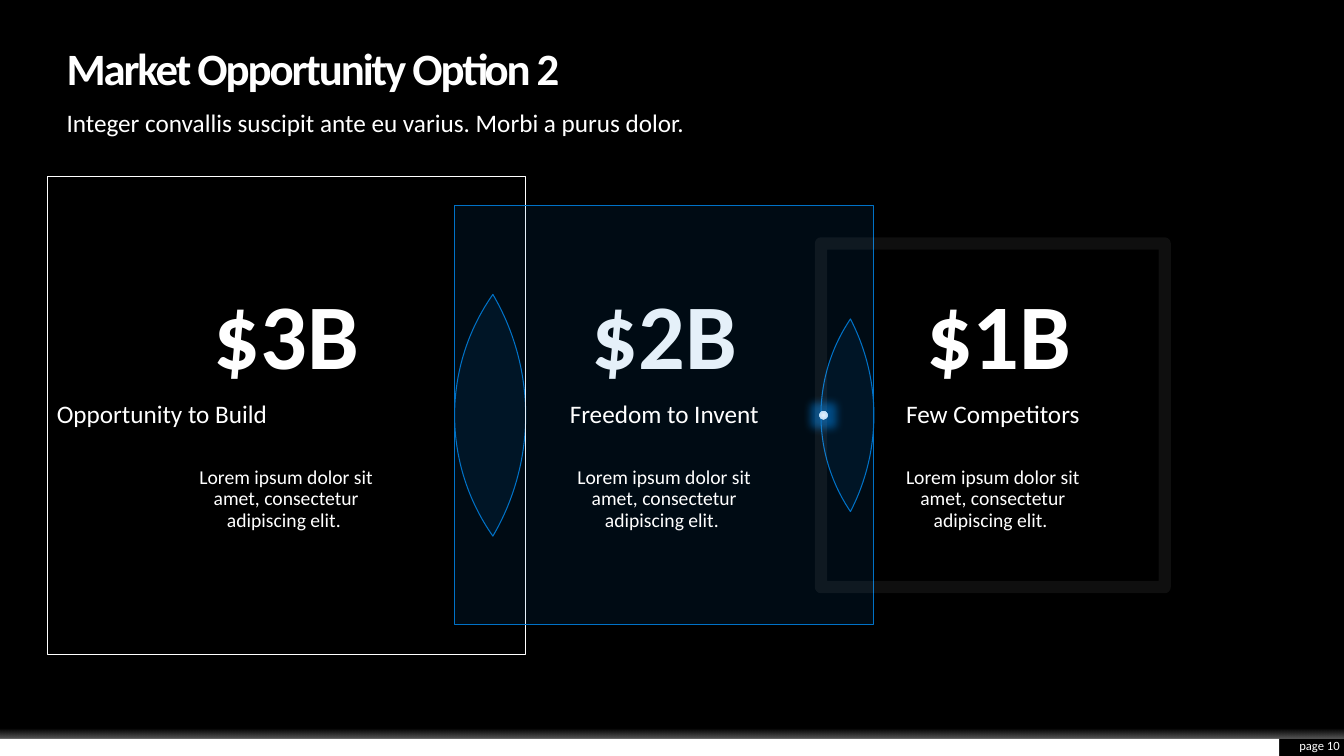
import math

from lxml import etree
from pptx import Presentation
from pptx.dml.color import RGBColor
from pptx.enum.shapes import MSO_SHAPE
from pptx.enum.text import MSO_ANCHOR, PP_ALIGN
from pptx.oxml.ns import nsdecls, qn
from pptx.util import Inches, Pt

LEFT, CENTER, RIGHT = PP_ALIGN.LEFT, PP_ALIGN.CENTER, PP_ALIGN.RIGHT
TOP, MIDDLE, BOTTOM = MSO_ANCHOR.TOP, MSO_ANCHOR.MIDDLE, MSO_ANCHOR.BOTTOM
RECT, OVAL = MSO_SHAPE.RECTANGLE, MSO_SHAPE.OVAL

TITLE = "Market Opportunity Option 2"
SUBTITLE = "Integer convallis suscipit ante eu varius. Morbi a purus dolor."
PAGE = "page 10"
BODY = "Lorem ipsum dolor sit amet, consectetur adipiscing elit. "

THEME = {
    "font": "Calibri",
    "black": "000000", "white": "FFFFFF", "blue": "0072C7", "pale": "C1E4FF",
    "title": 32, "number": 66, "caption": 18, "body": 14, "page": 9,
}
WHITE, BLUE = THEME["white"], THEME["blue"]

# Lengths are inches, line widths points. Squares share one horizontal axis.
SLIDE_H = 7.5
SLIDE_W = SLIDE_H * 16 / 9
AXIS = 4.12
PANELS = [
    {"number": "$3B", "caption": "Opportunity to Build", "cx": 2.84, "size": 4.75,
     "number_cx": 2.84, "number_w": 3.07, "align": LEFT, "inset": (0.1, 0.05),
     "line": (WHITE, 0.25, 100), "fill": None},
    {"number": "$2B", "caption": "Freedom to Invent", "cx": 6.59, "size": 4.16,
     "number_cx": 6.59, "number_w": 3.07, "align": CENTER, "inset": (0, 0),
     "line": (BLUE, 0, 100), "fill": (BLUE, 10)},
    {"number": "$1B", "caption": "Few Competitors", "cx": 9.85, "size": 3.41,
     "number_cx": 9.91, "number_w": 2.84, "align": CENTER, "inset": (0.1, 0.05),
     "line": (WHITE, 8.75, 6), "fill": None},
]


def color_xml(color, alpha=100):
    return f'<a:srgbClr val="{color}"><a:alpha val="{alpha * 1000}"/></a:srgbClr>'


def paint(fill, color):
    fill.solid()
    fill.fore_color.rgb = RGBColor.from_string(color)


def set_alpha(parent, alpha):
    if alpha < 100:
        clr = parent.find(qn("a:solidFill")).find(qn("a:srgbClr"))
        etree.SubElement(clr, qn("a:alpha")).set("val", str(alpha * 1000))


def style(sp, fill=None, line=None):
    """Apply (colour, alpha) fill and (colour, points, alpha) line."""
    sp.shadow.inherit = False
    sp_pr = sp._element.spPr
    if fill:
        paint(sp.fill, fill[0])
        set_alpha(sp_pr, fill[1])
    else:
        sp.fill.background()
    if line:
        color, width, alpha = line
        paint(sp.line.fill, color)
        sp.line.width = Pt(width)
        set_alpha(sp_pr.find(qn("a:ln")), alpha)
    else:
        sp.line.fill.background()


def gradient(sp, stops, direction):
    """Replace an empty fill with a gradient of (position, colour, alpha) stops."""
    gs = "".join(f'<a:gs pos="{pos * 1000}">{color_xml(color, alpha)}</a:gs>'
                 for pos, color, alpha in stops)
    xml = f'<a:gradFill {nsdecls("a")}><a:gsLst>{gs}</a:gsLst>{direction}</a:gradFill>'
    sp_pr = sp._element.spPr
    sp_pr.replace(sp_pr.find(qn("a:noFill")), etree.fromstring(xml))


def glow(sp, radius, color, alpha):
    xml = (f'<a:glow {nsdecls("a")} rad="{Inches(radius)}">'
           f'{color_xml(color, alpha)}</a:glow>')
    sp._element.spPr.find(qn("a:effectLst")).append(etree.fromstring(xml))


def add_shape(slide, kind, box, fill=None, line=None):
    sp = slide.shapes.add_shape(kind, *map(Inches, box))
    style(sp, fill, line)
    return sp


def write(sp, text, size, align=LEFT, anchor=TOP, inset=(0, 0), bold=False,
          spacing=0.9, before=0):
    tf = sp.text_frame
    x, y = map(Inches, inset)
    frame = {"word_wrap": True, "vertical_anchor": anchor, "margin_left": x,
             "margin_right": x, "margin_top": y, "margin_bottom": y}
    p = tf.paragraphs[0]
    r = p.add_run()
    r.text = text
    formats = [
        (tf, frame),
        (p, {"alignment": align, "line_spacing": spacing, "space_before": Pt(before)}),
        (r.font, {"name": THEME["font"], "size": Pt(THEME[size]), "bold": bold}),
    ]
    for target, values in formats:
        for name, value in values.items():
            setattr(target, name, value)
    r.font.color.rgb = RGBColor.from_string(WHITE)
    return r


def add_text(slide, box, text, size, **options):
    return write(slide.shapes.add_textbox(*map(Inches, box)), text, size, **options)


def arc(cx, radius, start, end):
    """Return the two control points and the end point of a Bezier arc."""
    k = 4 / 3 * math.tan((end - start) / 4)
    (c1, s1), (c2, s2) = ((math.cos(a), math.sin(a)) for a in (start, end))
    unit = [(c1 - k * s1, s1 + k * c1), (c2 + k * s2, s2 - k * c2), (c2, s2)]
    return [(Inches(cx + radius * x), Inches(AXIS + radius * y)) for x, y in unit]


def add_lens(slide, left, right):
    """Draw the overlap of the circles inscribed in two neighbouring squares."""
    r1, r2 = left["size"] / 2, right["size"] / 2
    gap = right["cx"] - left["cx"]
    chord_x = (gap ** 2 + r1 ** 2 - r2 ** 2) / (2 * gap)
    half = math.sqrt(r1 ** 2 - chord_x ** 2)
    arcs = []
    for cx, radius, middle in ((left["cx"], r1, 0), (right["cx"], r2, math.pi)):
        reach = math.asin(half / radius)
        arcs.append(arc(cx, radius, middle - reach, middle))
        arcs.append(arc(cx, radius, middle, middle + reach))
    ends = [points[-1] for points in arcs]
    builder = slide.shapes.build_freeform(*ends[-1])
    builder.add_line_segments(ends, close=True)
    sp = builder.convert_to_shape()
    for segment, points in zip(list(sp._element.iter(qn("a:lnTo"))), arcs):
        segment.tag = qn("a:cubicBezTo")
        segment.remove(segment[0])
        for x, y in points:
            pt = etree.SubElement(segment, qn("a:pt"))
            pt.set("x", str(x - sp.left))
            pt.set("y", str(y - sp.top))
    style(sp, (BLUE, 10), (BLUE, 0, 100))


def add_panel(slide, panel):
    cx, size = panel["cx"], panel["size"]
    number_w, body_w = panel["number_w"], 2.16
    add_text(slide, (panel["number_cx"] - number_w / 2, 2.29, number_w, 1.57),
             panel["number"], "number", align=CENTER, anchor=BOTTOM, bold=True)
    square = add_shape(slide, RECT, (cx - size / 2, AXIS - size / 2, size, size),
                       panel["fill"], panel["line"])
    write(square, panel["caption"], "caption", align=panel["align"], anchor=MIDDLE,
          inset=panel["inset"], before=10)
    add_text(slide, (cx - body_w / 2, 4.64, body_w, 0.79), BODY, "body",
             align=CENTER, before=10)


def main():
    prs = Presentation()
    prs.slide_width, prs.slide_height = Inches(SLIDE_W), Inches(SLIDE_H)
    slide = prs.slides.add_slide(prs.slide_layouts[6])
    paint(slide.background.fill, THEME["black"])

    add_shape(slide, RECT, (0, 7.33, 12.69, 0.17), (WHITE, 100))
    haze = add_shape(slide, RECT, (0, 7.16, SLIDE_W, 0.17))
    gradient(haze, [(40, WHITE, 0), (100, WHITE, 35)], '<a:lin ang="5400000" scaled="0"/>')

    for left, right in zip(PANELS, PANELS[1:]):
        add_lens(slide, left, right)
    dot = add_shape(slide, OVAL, (8.13, 4.08, 0.08, 0.08))
    gradient(dot, [(0, WHITE, 100), (100, THEME["pale"], 100)],
             '<a:path path="circle"><a:fillToRect l="50000" t="50000" '
             'r="50000" b="50000"/></a:path>')
    glow(dot, 0.17, BLUE, 60)

    title = add_text(slide, (0.66, 0.47, 10.91, 0.47), TITLE, "title",
                     anchor=MIDDLE, bold=True)
    title.font._element.set("spc", "-150")
    add_text(slide, (0.66, 1.1, 10.91, 0.27), SUBTITLE, "caption", before=10)
    for panel in PANELS:
        add_panel(slide, panel)
    add_text(slide, (12.69, 7.31, 0.6, 0.17), PAGE, "page", align=RIGHT,
             anchor=MIDDLE, spacing=1.0)
    prs.save("out.pptx")


if __name__ == "__main__":
    main()
